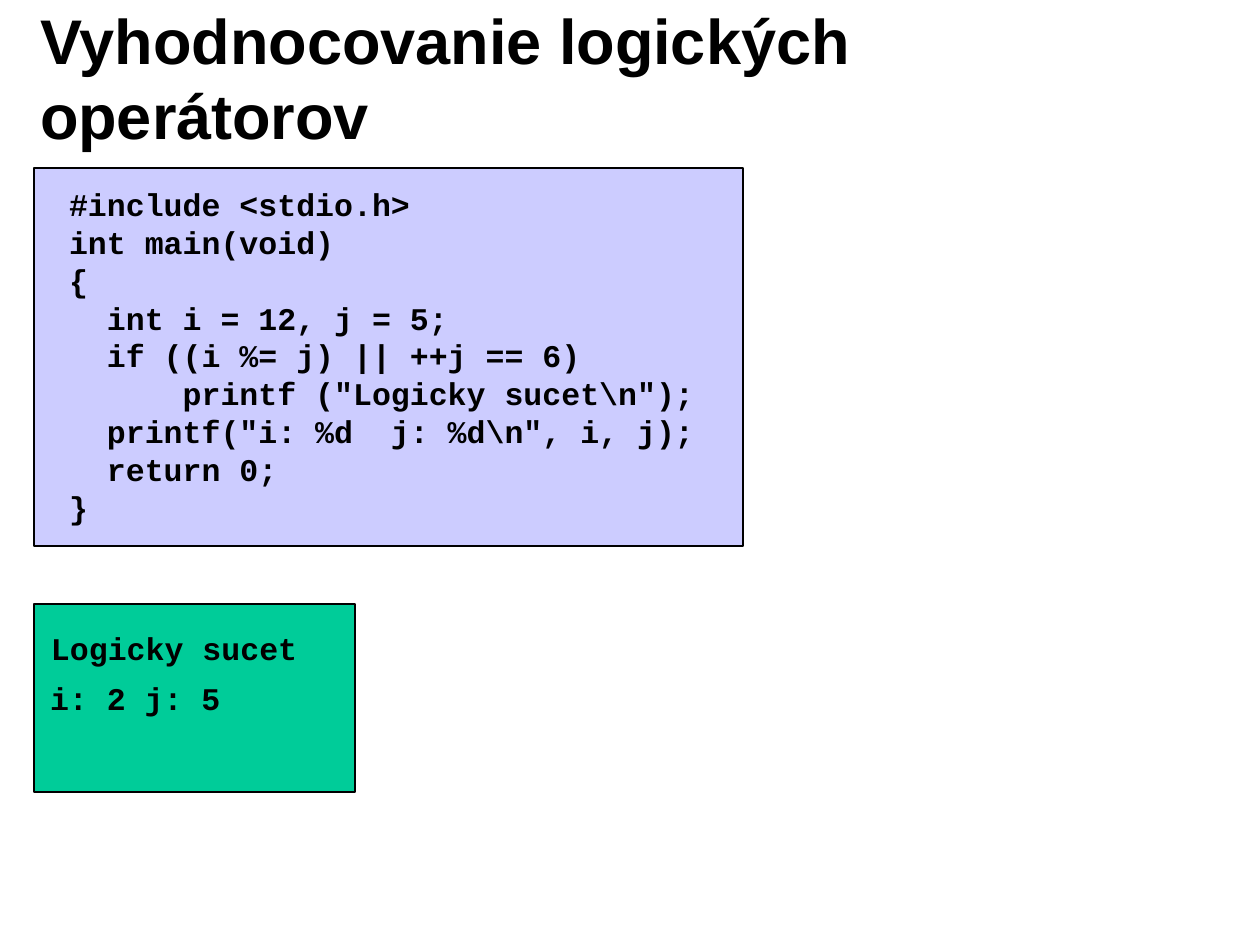
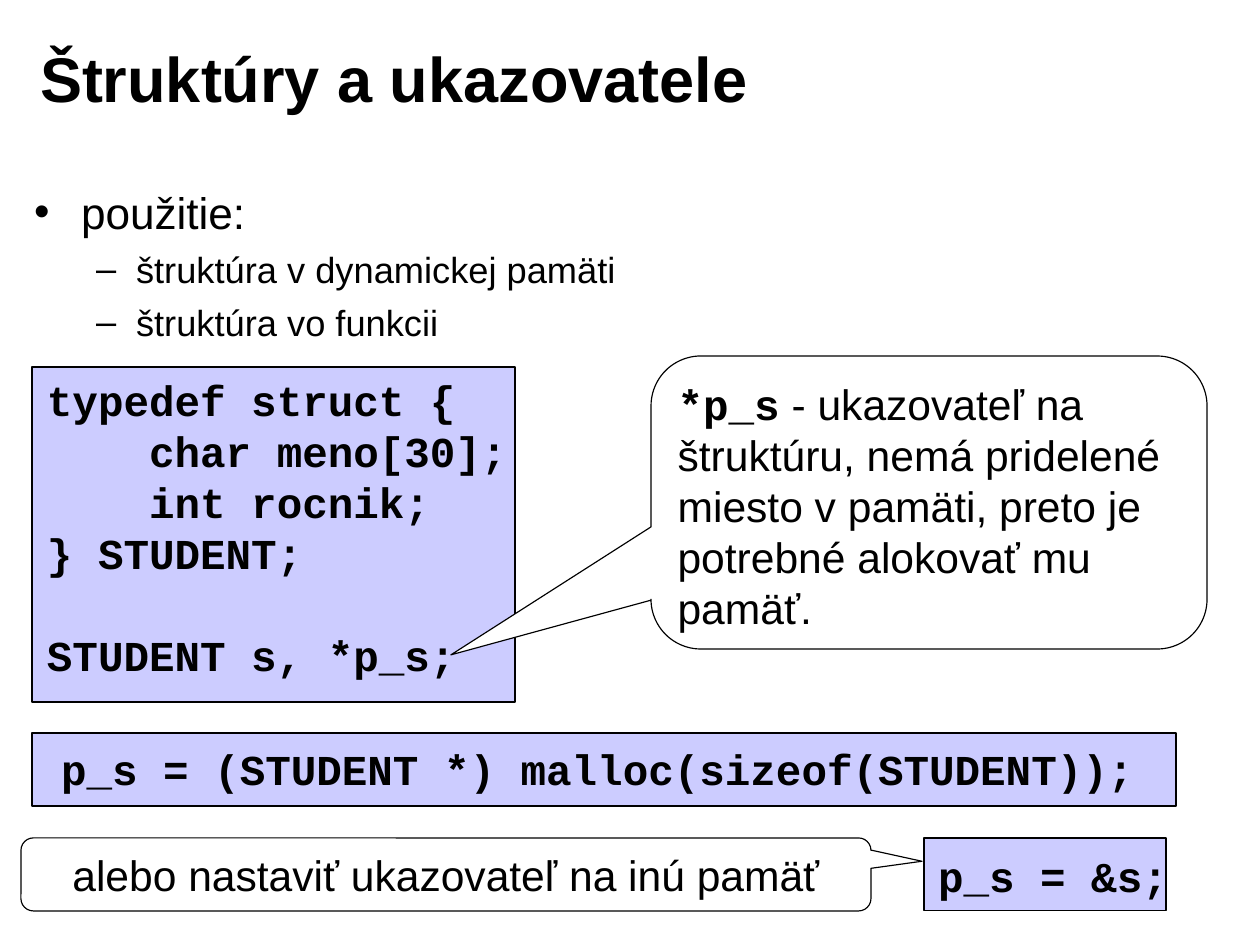
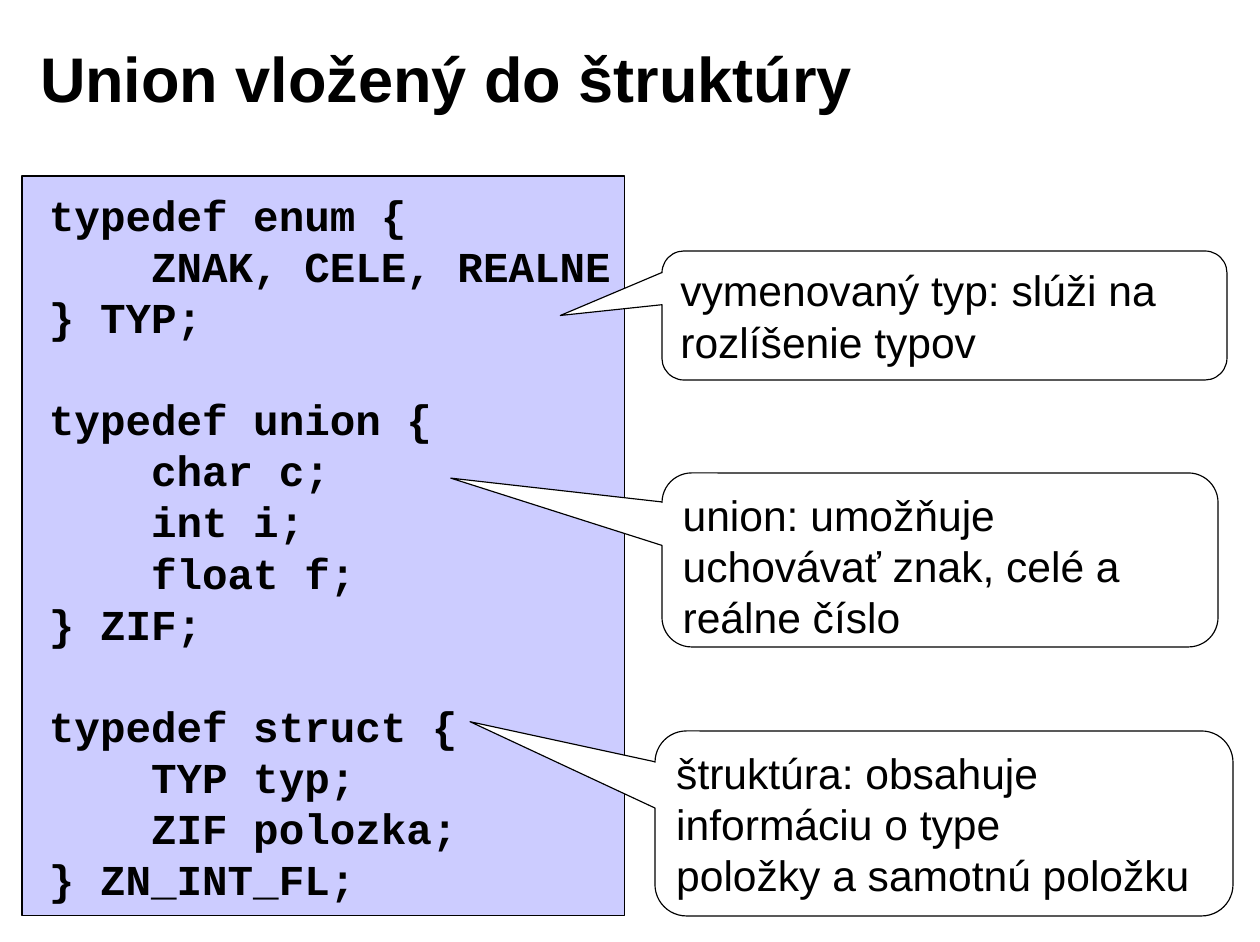
from dataclasses import dataclass
from lxml.etree import SubElement
from pptx import Presentation
from pptx.dml.color import RGBColor
from pptx.enum.shapes import MSO_SHAPE
from pptx.enum.text import MSO_ANCHOR, PP_ALIGN
from pptx.oxml.ns import qn
from pptx.util import Emu, Pt


@dataclass(frozen=True)
class Theme:
    ink: RGBColor = RGBColor(0x00, 0x00, 0x00)
    paper: RGBColor = RGBColor(0xFF, 0xFF, 0xFF)
    code_fill: RGBColor = RGBColor(0xCC, 0xCC, 0xFF)
    output_fill: RGBColor = RGBColor(0x00, 0xCC, 0x99)
    sans: str = "Arial"
    mono: str = "Courier New"
    title_size: int = 40
    topic_size: int = 28
    code_size: int = 27
    subtopic_size: int = 23
    small_code_size: int = 20
    leading: float = 1.2
    outline: float = 0.75


THEME = Theme()
PX = 914400 / 113.5


def draw_panel(slide, preset, at, fill, adjustments=()):
    panel = slide.shapes.add_shape(preset, *[Emu(round(n * PX)) for n in at])
    panel.shadow.inherit = False
    panel.fill.solid()
    panel.fill.fore_color.rgb = fill
    panel.line.color.rgb = THEME.ink
    panel.line.width = Pt(THEME.outline)
    for index, value in enumerate(adjustments):
        panel.adjustments[index] = value
    return panel


def write(frame, lines, size, font, bold=False, inset=(12, 7, 12, 7)):
    frame.word_wrap = True
    frame.margin_left, frame.margin_top, frame.margin_right, frame.margin_bottom = [
        Emu(round(n * PX)) for n in inset
    ]
    gap = 0
    paragraph = frame.paragraphs[0]
    for index, line in enumerate(lines):
        if not line:
            gap = size * THEME.leading
            continue
        if index:
            paragraph = frame.add_paragraph()
        paragraph.alignment = PP_ALIGN.LEFT
        paragraph.line_spacing = Pt(size * THEME.leading)
        paragraph.space_before = Pt(gap)
        gap = 0
        pieces = [(line, font, bold)] if isinstance(line, str) else line
        for words, face, heavy in pieces:
            run = paragraph.add_run()
            run.text = words
            run.font.name = face
            run.font.size = Pt(size)
            run.font.bold = heavy
            run.font.color.rgb = THEME.ink


prs = Presentation()
prs.slide_width = Emu(round(1260 * PX))
prs.slide_height = Emu(round(942 * PX))

slides = []
for title in (
    "Vyhodnocovanie logických operátorov",
    "Štruktúry a ukazovatele",
    "Union vložený do štruktúry",
):
    slide = prs.slides.add_slide(prs.slide_layouts[6])
    heading = slide.shapes.add_textbox(*[Emu(round(n * PX)) for n in (28, 19, 1012, 116)])
    heading.text_frame.vertical_anchor = MSO_ANCHOR.MIDDLE
    write(heading.text_frame, [title], THEME.title_size, THEME.sans, True)
    slides.append(slide)
operators, pointers, unions = slides

for slide, at, fill in (
    (operators, (34, 604, 321, 188), THEME.output_fill),
    (operators, (34, 168, 709, 378), THEME.code_fill),
    (pointers, (32, 367, 483, 335), THEME.code_fill),
    (pointers, (32, 733, 1144, 73), THEME.code_fill),
    (pointers, (924, 838, 242, 73), THEME.code_fill),
    (unions, (22, 176, 603, 740), THEME.code_fill),
):
    draw_panel(slide, MSO_SHAPE.RECTANGLE, at, fill)

logic_code = [
    "#include <stdio.h>",
    "int main(void)",
    "{",
    "  int i = 12, j = 5;",
    "  if ((i %= j) || ++j == 6)",
    '      printf ("Logicky sucet\\n");',
    '  printf("i: %d  j: %d\\n", i, j);',
    "  return 0;",
    "}",
]
student_code = [
    "typedef struct {",
    "    char meno[30];",
    "    int rocnik;",
    "} STUDENT;",
    "",
    "STUDENT s, *p_s;",
]
union_code = [
    "typedef enum {",
    "    ZNAK, CELE, REALNE",
    "} TYP;",
    "",
    "typedef union {",
    "    char c;",
    "    int i;",
    "    float f;",
    "} ZIF;",
    "",
    "typedef struct {",
    "    TYP typ;",
    "    ZIF polozka;",
    "} ZN_INT_FL;",
]
for slide, at, lines, size in (
    (operators, (57, 178, 706, 353), logic_code, THEME.small_code_size),
    (operators, (39, 622, 269, 50), ["Logicky sucet"], THEME.small_code_size),
    (operators, (38, 672, 193, 50), ["i: 2 j: 5"], THEME.small_code_size),
    (pointers, (35, 367, 485, 319), student_code, THEME.code_size),
    (pointers, (49, 736, 1095, 62), ["p_s = (STUDENT *) malloc(sizeof(STUDENT));"], THEME.code_size),
    (pointers, (926, 843, 252, 62), ["p_s = &s;"], THEME.code_size),
    (unions, (37, 182, 587, 729), union_code, THEME.code_size),
):
    listing = slide.shapes.add_textbox(*[Emu(round(n * PX)) for n in at])
    write(listing.text_frame, lines, size, THEME.mono, True, (12, 7, 0, 7))

usage = pointers.shapes.add_textbox(*[Emu(round(n * PX)) for n in (22, 178, 1096, 241)]).text_frame
write(usage, ["použitie:", "štruktúra v dynamickej pamäti", "štruktúra vo funkcii"], THEME.topic_size, THEME.sans)
for index, paragraph in enumerate(usage.paragraphs):
    indent, hanging, mark = (102, 40, "–") if index else (47, 47, "•")
    properties = paragraph._p.get_or_add_pPr()
    properties.set("marL", str(round(indent * PX)))
    properties.set("indent", str(round(-hanging * PX)))
    SubElement(properties, qn("a:buFont")).set("typeface", THEME.sans)
    SubElement(properties, qn("a:buChar")).set("char", mark)
    if index:
        paragraph.level = 1
        paragraph.space_before = Pt(5.8)
        paragraph.line_spacing = Pt(THEME.subtopic_size * THEME.leading)
        paragraph.runs[0].font.size = Pt(THEME.subtopic_size)

pointer_note = [
    ("*p_s", THEME.mono, True),
    (
        " - ukazovateľ na štruktúru, nemá pridelené miesto v pamäti, preto je potrebné alokovať mu pamäť.",
        THEME.sans,
        False,
    ),
]
for slide, at, tip, lines, alignment in (
    (pointers, (651, 356, 556, 293), (-0.86, 0.52), [pointer_note], PP_ALIGN.LEFT),
    (pointers, (21, 838, 850, 73), (0.56, -0.18), ["alebo nastaviť ukazovateľ na inú pamäť"], PP_ALIGN.CENTER),
    (unions, (662, 251, 565, 129), (-0.68, 0), ["vymenovaný typ: slúži na rozlíšenie typov"], PP_ALIGN.LEFT),
    (unions, (662, 473, 556, 174), (-0.88, -0.47), ["union: umožňuje uchovávať znak, celé a reálne číslo"], PP_ALIGN.LEFT),
    (
        unions,
        (655, 731, 578, 185),
        (-0.82, -0.55),
        ["štruktúra: obsahuje informáciu o type", "položky a samotnú položku"],
        PP_ALIGN.LEFT,
    ),
):
    callout = draw_panel(slide, MSO_SHAPE.ROUNDED_RECTANGULAR_CALLOUT, at, THEME.paper, (*tip, 0.17))
    callout.text_frame.vertical_anchor = MSO_ANCHOR.TOP
    write(callout.text_frame, lines, THEME.code_size, THEME.sans)
    for paragraph in callout.text_frame.paragraphs:
        paragraph.alignment = alignment

prs.save("out.pptx")
